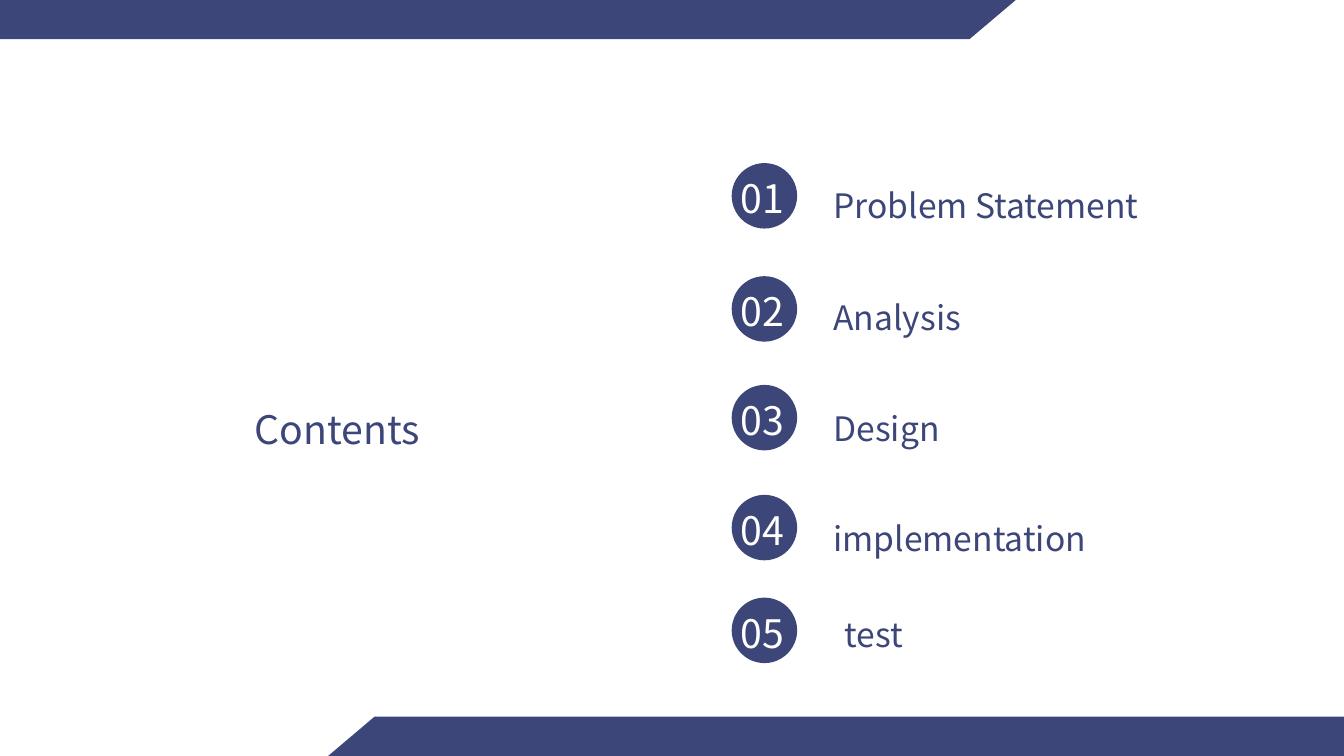
from lxml.etree import SubElement
from pptx import Presentation
from pptx.dml.color import RGBColor
from pptx.enum.shapes import MSO_SHAPE
from pptx.enum.text import MSO_ANCHOR, MSO_AUTO_SIZE, PP_ALIGN
from pptx.oxml.ns import qn
from pptx.util import Cm, Pt

NAVY = RGBColor(0x3C, 0x46, 0x78)
WHITE = RGBColor(0xFF, 0xFF, 0xFF)
FONT = "Noto Sans CJK SC"
SLIDE_WIDTH, SLIDE_HEIGHT = 33.87, 19.05
BAND_WIDTH, BAND_HEIGHT, BAND_SLANT = 25.6, 0.99, 1.17
BADGE_SIZE = 1.65
LABEL_OFFSET = 2.31

# label, badge top (cm), space before (pt), left indent (cm)
TOPICS = [
    ("Problem Statement", 0, 0, 0),
    ("Analysis", 2.85, 43.3, 0),
    ("Design", 5.59, 43.3, 0),
    ("implementation", 8.36, 42.6, 0),
    ("test", 10.95, 32.6, 0.28),
]


def add_run(paragraph, text, size, color):
    """Append one formatted run to a paragraph."""
    run = paragraph.add_run()
    run.text = text
    run.font.name = FONT
    run.font.size = Pt(size)
    run.font.color.rgb = color


def place(shape, left, top, width, height):
    """Move and size a shape, in centimetres."""
    shape.left, shape.top = Cm(left), Cm(top)
    shape.width, shape.height = Cm(width), Cm(height)


def paint(shape):
    """Give a shape the plain navy look."""
    shape.shadow.inherit = False
    shape.fill.solid()
    shape.fill.fore_color.rgb = NAVY
    shape.line.fill.background()


def add_band(slide, left, top, corners):
    """Draw an edge band from corners relative to its left and top."""
    points = [(Cm(left + x), Cm(top + y)) for x, y in corners]
    builder = slide.shapes.build_freeform(*points[0])
    builder.add_line_segments(points[1:], close=True)
    paint(builder.convert_to_shape())


def add_bands(slide):
    """Draw the slanted bands along the top and bottom edges."""
    inner = BAND_WIDTH - BAND_SLANT
    add_band(slide, SLIDE_WIDTH - BAND_WIDTH, SLIDE_HEIGHT - BAND_HEIGHT,
             [(0, BAND_HEIGHT), (BAND_SLANT, 0),
              (BAND_WIDTH, 0), (BAND_WIDTH, BAND_HEIGHT)])
    add_band(slide, 0, 0,
             [(0, 0), (BAND_WIDTH, 0), (inner, BAND_HEIGHT), (0, BAND_HEIGHT)])


def add_heading(slide, left, top, width, height):
    """Set the slide title in its box."""
    title = slide.shapes.title
    place(title, left, top, width, height)
    frame = title.text_frame
    frame.auto_size = MSO_AUTO_SIZE.NONE
    frame.vertical_anchor = MSO_ANCHOR.MIDDLE
    paragraph = frame.paragraphs[0]
    paragraph.alignment = PP_ALIGN.LEFT
    add_run(paragraph, "Contents", 28, NAVY)


def add_badge(slide, left, top, number):
    """Draw a numbered circle."""
    badge = slide.shapes.add_shape(
        MSO_SHAPE.OVAL, Cm(left), Cm(top), Cm(BADGE_SIZE), Cm(BADGE_SIZE))
    paint(badge)
    frame = badge.text_frame
    frame.word_wrap = False
    frame.vertical_anchor = MSO_ANCHOR.MIDDLE
    frame.margin_left = frame.margin_bottom = 0
    frame.margin_right = frame.margin_top = Cm(0.1)
    paragraph = frame.paragraphs[0]
    paragraph.alignment = PP_ALIGN.CENTER
    add_run(paragraph, f"{number:02d}", 28, WHITE)


def add_agenda(slide, left, top, width, height):
    """Fill the body list and set a badge beside each topic."""
    body = slide.placeholders[1]
    place(body, left + LABEL_OFFSET, top + 0.18, width - LABEL_OFFSET, height)
    frame = body.text_frame
    frame.auto_size = MSO_AUTO_SIZE.NONE
    frame.vertical_anchor = MSO_ANCHOR.TOP
    for number, (label, badge_top, gap, indent) in enumerate(TOPICS, 1):
        add_badge(slide, left, top + badge_top, number)
        paragraph = frame.paragraphs[0] if number == 1 else frame.add_paragraph()
        paragraph.line_spacing = Pt(36)
        paragraph.space_before = Pt(gap)
        paragraph.space_after = Pt(0)
        properties = paragraph._p.get_or_add_pPr()
        properties.set("marL", str(Cm(indent)))
        properties.set("indent", "0")
        SubElement(properties, qn("a:buNone"))
        add_run(paragraph, label, 24, NAVY)


def main():
    """Build and save the contents slide."""
    presentation = Presentation()
    presentation.slide_width = Cm(SLIDE_WIDTH)
    presentation.slide_height = Cm(SLIDE_HEIGHT)
    slide = presentation.slides.add_slide(presentation.slide_layouts[1])
    add_bands(slide)
    add_heading(slide, 6.17, 10.08, 4.9, 1.45)
    add_agenda(slide, 18.44, 4.11, 11.89, 12.4)
    presentation.save("out.pptx")


if __name__ == "__main__":
    main()
